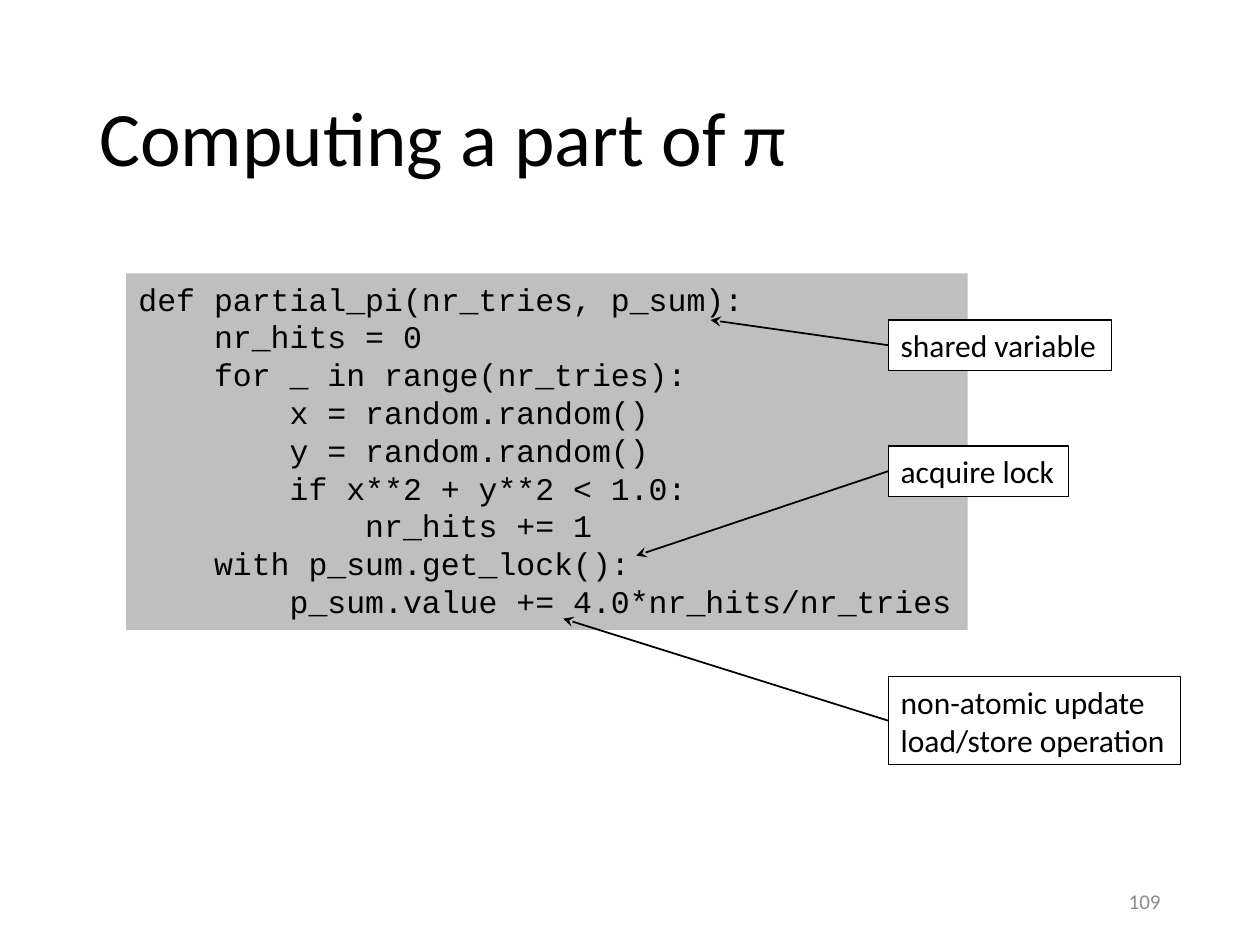
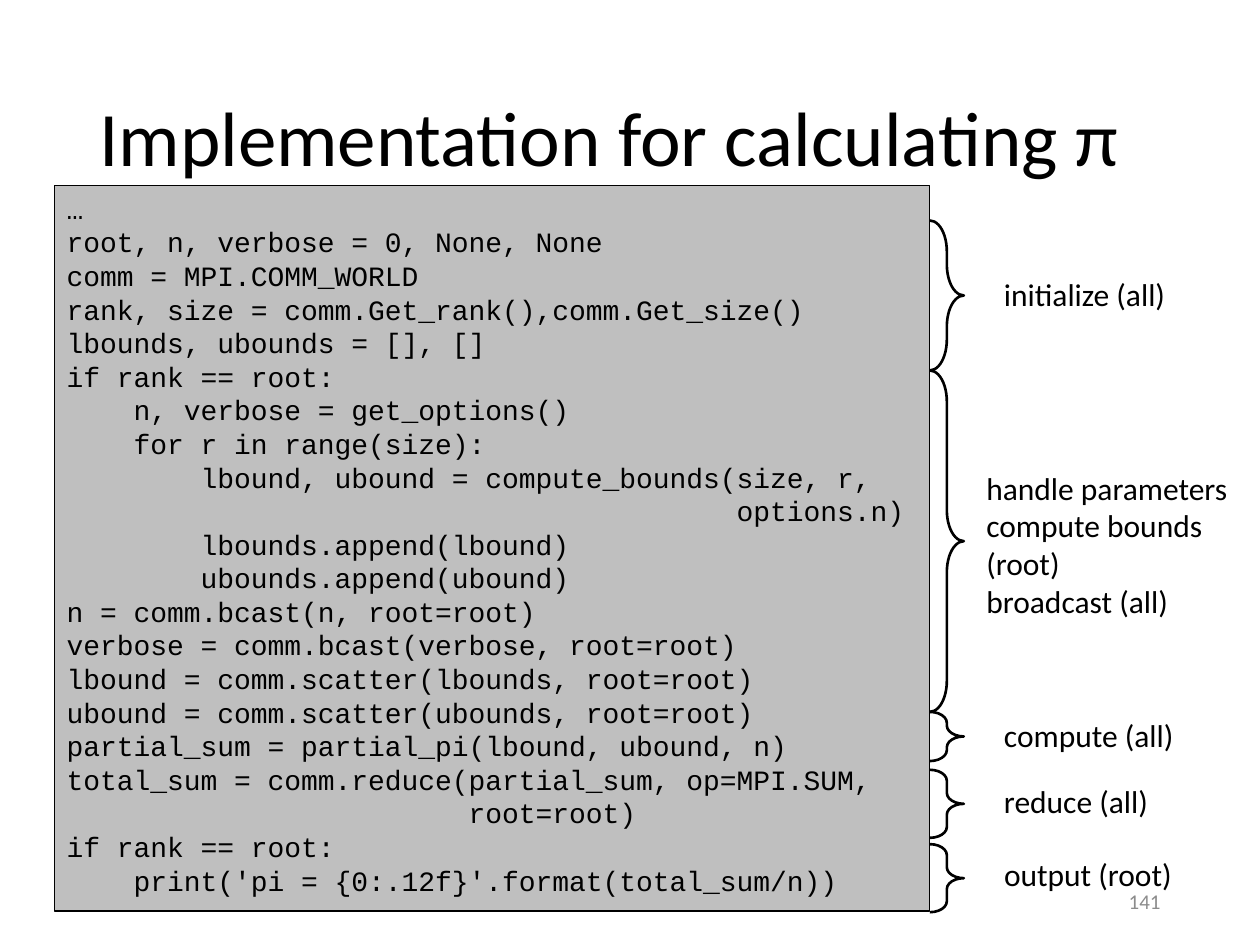
"""Build two slides of annotated Python code that computes π."""
import dataclasses

import lxml.etree
import pptx
import pptx.dml.color
import pptx.enum.shapes
import pptx.enum.text
import pptx.oxml.ns
import pptx.util

Inches = pptx.util.Inches
Pt = pptx.util.Pt
SHAPES = pptx.enum.shapes.MSO_SHAPE
ALIGN = pptx.enum.text.PP_ALIGN
ANCHOR = pptx.enum.text.MSO_ANCHOR
FIT = pptx.enum.text.MSO_AUTO_SIZE

SHARED_MEMORY = {
    "title": "Computing a part of π",
    "number": "109",
    "code": """def partial_pi(nr_tries, p_sum):
    nr_hits = 0
    for _ in range(nr_tries):
        x = random.random()
        y = random.random()
        if x**2 + y**2 < 1.0:
            nr_hits += 1
    with p_sum.get_lock():
        p_sum.value += 4.0*nr_hits/nr_tries""",
    "code_box": (1, 2.17, 6.68, 2.83),
    "code_size": 18,
    "code_outline": False,
}
CALLOUTS = [
    (["shared variable"], 2.54, 1.77, (5.64, 2.54)),
    (["non-atomic update\nload/store operation"], 5.37, 2.32, (4.47, 4.91)),
    (["acquire lock"], 3.54, 1.43, (5.05, 4.41)),
]
CALLOUT_LEFT = 7.05

MESSAGE_PASSING = {
    "title": "Implementation for calculating π",
    "number": "141",
    "code": """…
root, n, verbose = 0, None, None
comm = MPI.COMM_WORLD
rank, size = comm.Get_rank(),comm.Get_size()
lbounds, ubounds = [], []
if rank == root:
    n, verbose = get_options()
    for r in range(size):
        lbound, ubound = compute_bounds(size, r,
                                        options.n)
        lbounds.append(lbound)
        ubounds.append(ubound)
n = comm.bcast(n, root=root)
verbose = comm.bcast(verbose, root=root)
lbound = comm.scatter(lbounds, root=root)
ubound = comm.scatter(ubounds, root=root)
partial_sum = partial_pi(lbound, ubound, n)
total_sum = comm.reduce(partial_sum, op=MPI.SUM,
                        root=root)
if rank == root:
    print('pi = {0:.12f}'.format(total_sum/n))""",
    "code_box": (0.43, 1.47, 6.95, 5.76),
    "code_size": 16,
    "code_outline": True,
}
PHASES = [
    (["initialize (all)"], 1.75, 1.19, 0.91, (7.87, 2.13, 1.5)),
    (["handle parameters\ncompute bounds\n(root)", "broadcast (all)"],
     2.94, 2.71, 0.91, (7.73, 3.67, 2.14)),
    (["compute (all)"], 5.65, 0.39, 0.32, (7.87, 5.63, 1.56)),
    (["reduce (all)"], 6.11, 0.54, 0.32, (7.87, 6.16, 1.36)),
    (["output (root)"], 6.7, 0.54, 0.32, (7.87, 6.74, 1.55)),
]
BRACE_LEFT, BRACE_WIDTH = 7.38, 0.27


@dataclasses.dataclass(frozen=True)
class Theme:
    ink: str = "000000"
    paper: str = "FFFFFF"
    code_fill: str = "BFBFBF"
    muted: str = "8C8C8C"
    body_font: str = "Calibri"
    code_font: str = "Courier New"
    title_size: int = 44
    label_size: int = 18
    number_size: int = 12


THEME = Theme()


def rgb(value):
    return pptx.dml.color.RGBColor.from_string(value)


def place(box):
    return [Inches(length) for length in box]


def label_height(paragraphs):
    return 0.1 + 0.3 * len("\n".join(paragraphs).split("\n"))


def paint(part, fill=None, outline=None):
    part.shadow.inherit = False
    if fill:
        part.fill.solid()
        part.fill.fore_color.rgb = rgb(fill)
    else:
        part.fill.background()
    if outline:
        part.line.color.rgb = rgb(THEME.ink)
        part.line.width = Pt(outline)
    else:
        part.line.fill.background()


def add_text(slide, paragraphs, box, *, size=THEME.label_size, font=THEME.body_font,
             color=THEME.ink, align=ALIGN.LEFT, anchor=ANCHOR.TOP, spacing=None,
             wrap=False, fill=None, outline=None):
    if fill:
        holder = slide.shapes.add_shape(SHAPES.RECTANGLE, *place(box))
        paint(holder, fill, outline)
    else:
        holder = slide.shapes.add_textbox(*place(box))
    frame = holder.text_frame
    frame.word_wrap = wrap
    frame.auto_size = FIT.NONE if wrap else FIT.SHAPE_TO_FIT_TEXT
    frame.vertical_anchor = anchor
    for index, words in enumerate(paragraphs):
        paragraph = frame.add_paragraph() if index else frame.paragraphs[0]
        paragraph.text = words
        paragraph.alignment = align
        if spacing:
            paragraph.line_spacing = spacing
        for run in paragraph.runs:
            run.font.name = font
            run.font.size = Pt(size)
            run.font.color.rgb = rgb(color)


def add_arrow(slide, start, tip):
    arrow = slide.shapes.add_connector(
        pptx.enum.shapes.MSO_CONNECTOR.STRAIGHT, *place(start + tip))
    arrow.line.color.rgb = rgb(THEME.ink)
    arrow.line.width = Pt(1)
    qn = pptx.oxml.ns.qn
    lxml.etree.SubElement(arrow.line._get_or_add_ln(), qn("a:tailEnd"), type="stealth")
    lxml.etree.SubElement(arrow._element.spPr, qn("a:effectLst"))


def add_code_slide(deck, content):
    slide = deck.slides.add_slide(deck.slide_layouts[6])
    add_text(slide, [content["title"]], (0.69, 0.4, 8.62, 1.45), size=THEME.title_size,
             anchor=ANCHOR.MIDDLE, spacing=0.9, wrap=True)
    add_text(slide, content["code"].split("\n"), content["code_box"],
             size=content["code_size"], font=THEME.code_font, fill=THEME.code_fill,
             outline=0.75 if content["code_outline"] else None)
    add_text(slide, [content["number"]], (7.06, 6.95, 2.25, 0.4), size=THEME.number_size,
             color=THEME.muted, align=ALIGN.RIGHT, anchor=ANCHOR.MIDDLE, wrap=True)
    return slide


def add_callouts(slide):
    for remark, top, width, tip in CALLOUTS:
        height = label_height(remark)
        add_text(slide, remark, (CALLOUT_LEFT, top, width, height),
                 fill=THEME.paper, outline=0.75)
        add_arrow(slide, (CALLOUT_LEFT, top + height / 2), tip)


def add_phases(slide):
    for phase, top, height, curl, label_spot in PHASES:
        brace = slide.shapes.add_shape(
            SHAPES.RIGHT_BRACE, *place((BRACE_LEFT, top, BRACE_WIDTH, height)))
        brace.adjustments[0] = curl
        paint(brace, outline=1.5)
        add_text(slide, phase, label_spot + (label_height(phase),))


def main():
    deck = pptx.Presentation()
    deck.slide_width, deck.slide_height = Inches(10), Inches(7.5)
    add_callouts(add_code_slide(deck, SHARED_MEMORY))
    add_phases(add_code_slide(deck, MESSAGE_PASSING))
    deck.save("out.pptx")


if __name__ == "__main__":
    main()
